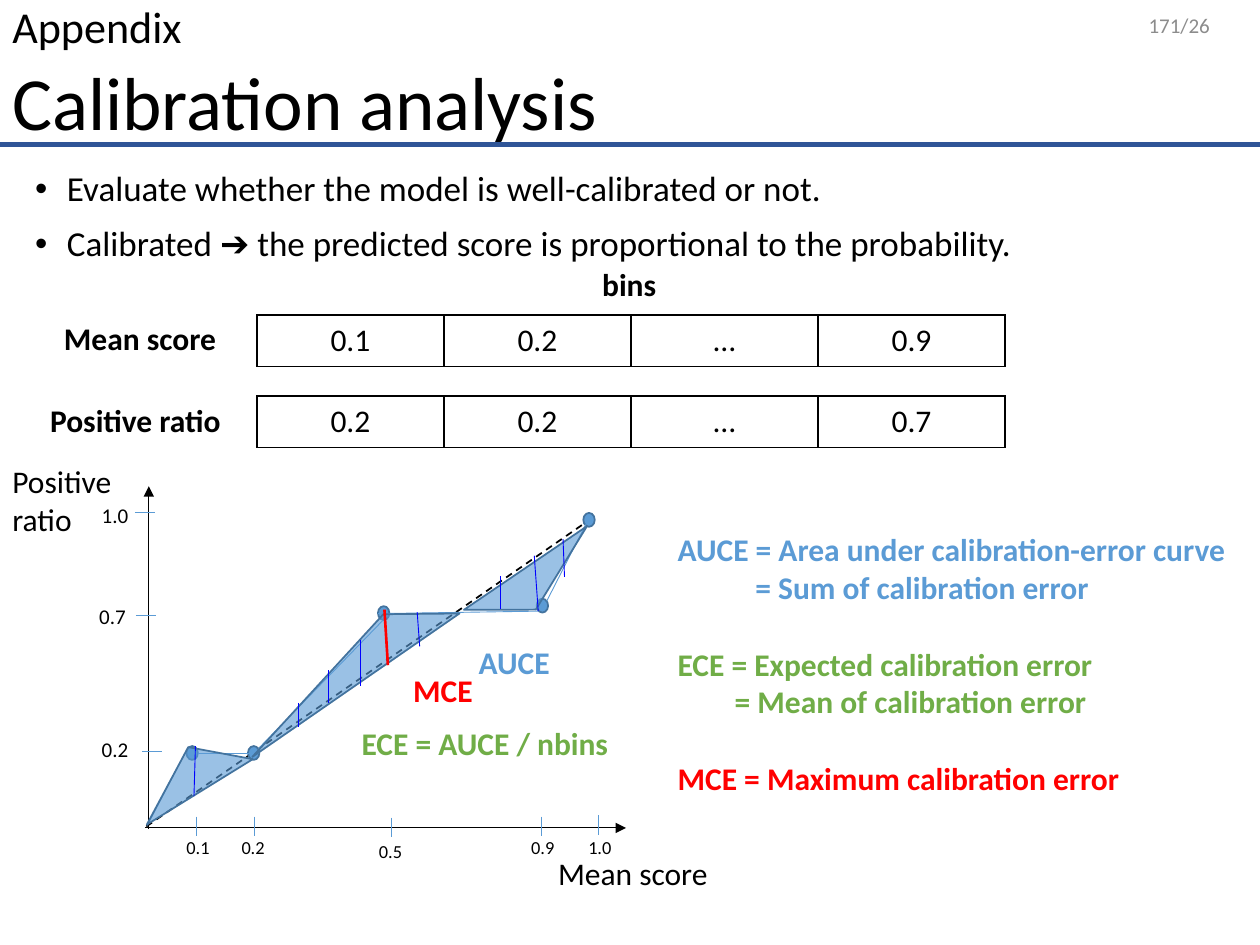
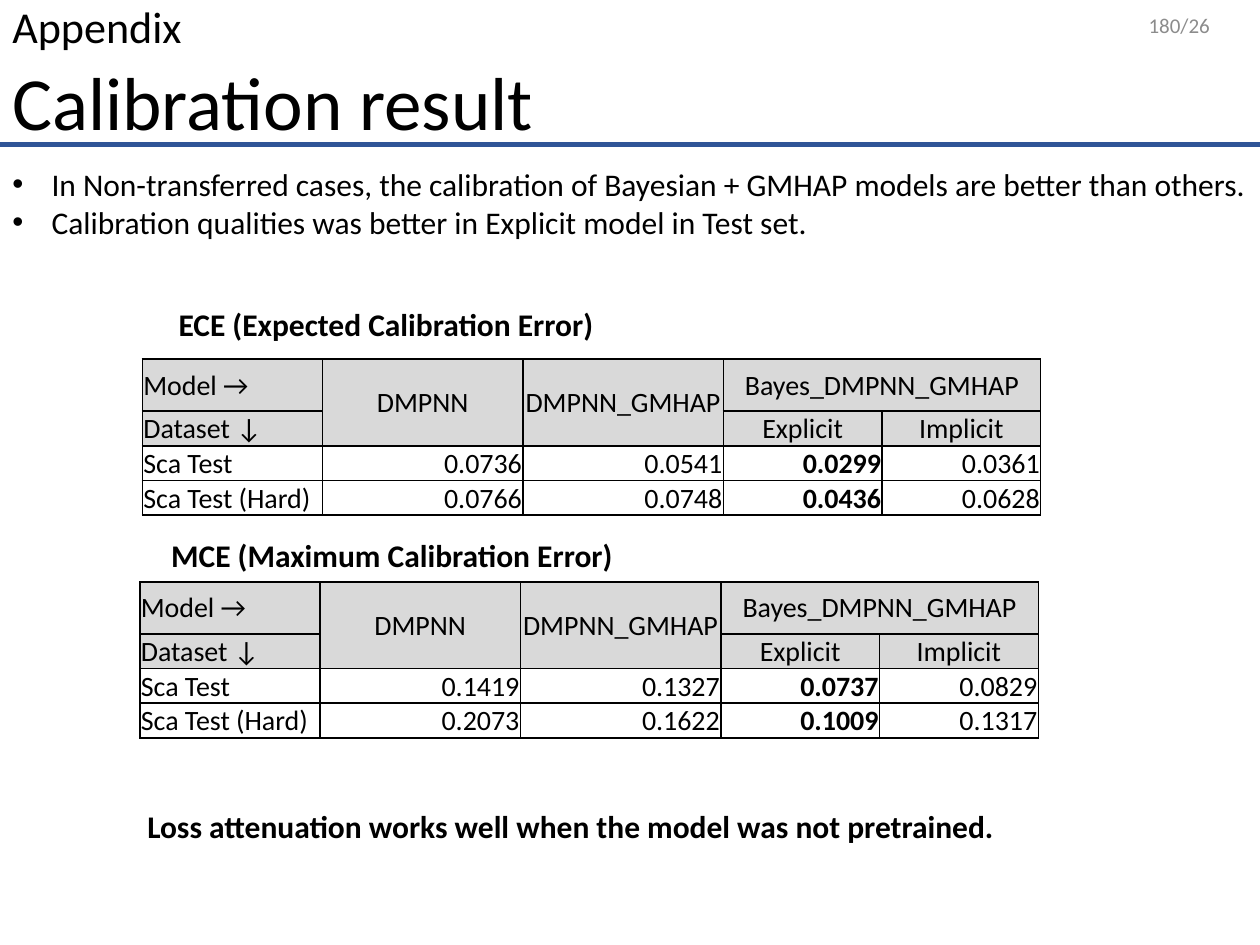
from dataclasses import dataclass
from typing import Optional, Sequence

from lxml import etree
from pptx import Presentation
from pptx import util as u
from pptx.dml import color as dml
from pptx.enum import dml as lines, shapes, text
from pptx.oxml import ns

FONT = "Calibri"
COLORS = {
    "black": "000000", "rule": "2F5597", "blue": "5B9BD5", "outline": "43739E",
    "green": "70AD47", "red": "FF0000", "bar": "0000FF", "grey": "8C8C8C",
    "header": "D9D9D9",
}
ALIGN = {"l": text.PP_ALIGN.LEFT, "c": text.PP_ALIGN.CENTER, "r": text.PP_ALIGN.RIGHT}


# Repeated elements; all lengths are in centimetres
@dataclass
class Para:
    text: str
    color: Optional[str] = None
    indent: float = 0
    before: float = 0


@dataclass
class Label:
    text: str
    left: float
    top: float
    width: float
    height: float = 1.02
    color: str = "black"
    bold: bool = True
    size: float = 18
    wrap: bool = False


@dataclass
class Segment:
    x1: float
    y1: float
    x2: float
    y2: float


@dataclass
class Tick:
    label: str
    x: float
    y: float
    label_left: float
    label_top: float


@dataclass
class Triangle:
    left: float
    top: float
    width: float
    height: float
    rotation: float
    apex: float


@dataclass
class ErrorTable:
    title: Label
    left: float
    top: float
    rows: Sequence[Sequence[str]]


def rgb(name: str) -> dml.RGBColor:
    return dml.RGBColor.from_string(COLORS[name])


def sub(parent, tag: str, **attrs):
    return etree.SubElement(parent, ns.qn(tag), **attrs)


# Text
def set_text(tf, content, *, size=18.0, color="black", bold=False, align="l",
             bullet=0.0, spacing=None) -> None:
    paras = [Para(content)] if isinstance(content, str) else content
    for i, para in enumerate(paras):
        p = tf.add_paragraph() if i else tf.paragraphs[0]
        p.alignment = ALIGN[align]
        pPr = p._p.get_or_add_pPr()
        if bullet:
            pPr.set("marL", str(u.Cm(bullet)))
            pPr.set("indent", str(-u.Cm(bullet)))
            sub(pPr, "a:buFont", typeface="Arial")
            sub(pPr, "a:buChar", char="•")
        elif para.indent:
            pPr.set("marL", str(u.Cm(para.indent)))
        if spacing:
            p.line_spacing = spacing
        if para.before:
            p.space_before = u.Pt(para.before)
        r = p.add_run()
        r.text = para.text
        r.font.name, r.font.size, r.font.bold = FONT, u.Pt(size), bold
        r.font.color.rgb = rgb(para.color or color)


def add_text(s, content, left: float, top: float, width: float, height: float, *,
             wrap=True, middle=False, **fmt) -> None:
    tf = s.shapes.add_textbox(u.Cm(left), u.Cm(top), u.Cm(width), u.Cm(height)).text_frame
    tf.word_wrap = wrap
    if middle:
        tf.vertical_anchor = text.MSO_ANCHOR.MIDDLE
    set_text(tf, content, **fmt)


def add_label(s, lb: Label) -> None:
    add_text(s, lb.text, lb.left, lb.top, lb.width, lb.height, wrap=lb.wrap,
             size=lb.size, color=lb.color, bold=lb.bold)


# Lines and shapes
def add_line(s, seg: Segment, color: str, width=0.5, arrow=False, dashed=False) -> None:
    cx = s.shapes.add_connector(shapes.MSO_CONNECTOR.STRAIGHT, u.Cm(seg.x1), u.Cm(seg.y1),
                                u.Cm(seg.x2), u.Cm(seg.y2))
    cx.line.color.rgb = rgb(color)
    cx.line.width = u.Pt(width)
    if dashed:
        cx.line.dash_style = lines.MSO_LINE.DASH
    if arrow:
        sub(cx.line._get_or_add_ln(), "a:tailEnd", type="triangle")
    sub(cx._element.spPr, "a:effectLst")


def add_blue_shape(s, kind, left: float, top: float, width: float, height: float):
    sp = s.shapes.add_shape(kind, u.Cm(left), u.Cm(top), u.Cm(width), u.Cm(height))
    sp.shadow.inherit = False
    sp.fill.solid()
    sp.fill.fore_color.rgb = rgb("blue")
    sp.line.color.rgb = rgb("outline")
    sp.line.width = u.Pt(1)
    return sp


def add_area(s, tri: Triangle) -> None:
    sp = add_blue_shape(s, shapes.MSO_SHAPE.ISOSCELES_TRIANGLE,
                        tri.left, tri.top, tri.width, tri.height)
    sp.adjustments[0] = tri.apex
    sp.rotation = tri.rotation
    sub(sp._element.spPr.find(".//" + ns.qn("a:srgbClr")), "a:alpha", val="61000")


# Tables
def add_grid(s, left: float, top: float, widths: Sequence[float], heights: Sequence[float]):
    table = s.shapes.add_table(len(heights), len(widths), u.Cm(left), u.Cm(top),
                               u.Cm(sum(widths)), u.Cm(sum(heights))).table
    table.first_row = table.horz_banding = False
    for column, width in zip(table.columns, widths):
        column.width = u.Cm(width)
    for row, height in zip(table.rows, heights):
        row.height = u.Cm(height)
    for cell in table.iter_cells():
        tcPr = cell._tc.get_or_add_tcPr()
        for side in ("a:lnL", "a:lnR", "a:lnT", "a:lnB"):
            fill = sub(sub(tcPr, side, w=str(u.Pt(1))), "a:solidFill")
            sub(fill, "a:srgbClr", val=COLORS["black"])
        cell.fill.background()
    return table


def add_error_table(s, spec_table: ErrorTable) -> None:
    add_label(s, spec_table.title)
    table = add_grid(s, spec_table.left, spec_table.top,
                     [3.63, 4.04, 4.04, 3.2, 3.2], [1.05, 0.69, 0.69, 0.69])
    for first, last in (((0, 1), (1, 1)), ((0, 2), (1, 2)), ((0, 3), (0, 4))):
        table.cell(*first).merge(table.cell(*last))
    for i, row in enumerate([*HEADER, *spec_table.rows]):
        for j, value in enumerate(row):
            cell = table.cell(i, j)
            header = i < len(HEADER)
            cell.margin_left = cell.margin_right = cell.margin_top = u.Cm(0.02)
            cell.margin_bottom = 0
            cell.vertical_anchor = text.MSO_ANCHOR.MIDDLE
            if header:
                cell.fill.solid()
                cell.fill.fore_color.rgb = rgb("header")
            if value:
                align = "l" if j == 0 else "c" if header else "r"
                set_text(cell.text_frame, value, size=16, align=align,
                         bold=j == BEST_COLUMN and not header)


# Shared slide frame
def new_slide(prs, title: str, number: str):
    s = prs.slides.add_slide(prs.slide_layouts[6])
    add_text(s, "Appendix", 0, 0, 10.19, 1.17, middle=True, size=25.2, spacing=0.9)
    add_text(s, title, 0, 1.17, 20.96, 1.93, middle=True, size=42.9, spacing=0.9)
    add_line(s, Segment(0, 2.92, 25.4, 2.92), "rule", 3)
    add_text(s, number, 18.92, 0, 5.72, 1.02, middle=True, size=12, color="grey", align="r")
    return s


# Content of the analysis slide
BIN_ROWS = [
    (Label("Mean score", 1.04, 6.3, 3.61), 6.35, ["0.1", "0.2", "…", "0.9"]),
    (Label("Positive ratio", 0.76, 7.95, 3.99), 7.98, ["0.2", "0.2", "…", "0.7"]),
]
X_TICKS = [
    Tick("0.1", 3.96, 16.46, 3.51, 16.74), Tick("0.2", 5.13, 16.46, 4.62, 16.74),
    Tick("0.5", 7.9, 16.48, 7.39, 16.81), Tick("0.9", 10.92, 16.46, 10.46, 16.74),
    Tick("1.0", 12.06, 16.43, 11.61, 16.74),
]
Y_TICKS = [
    Tick("0.2", 2.87, 15.14, 1.8, 14.73), Tick("0.7", 2.74, 12.4, 1.75, 12.04),
    Tick("1.0", 2.72, 10.34, 1.8, 10.01),
]
TICK = 0.4
POINTS = [(3.76, 15.04), (5, 15.04), (7.62, 12.22), (10.82, 12.07), (11.76, 10.34)]
CURVE = [
    Segment(3.99, 15.19, 5.23, 15.19), Segment(3.78, 15.09, 2.97, 16.64),
    Segment(5.21, 15.09, 7.85, 12.37), Segment(7.62, 12.37, 10.85, 12.32),
    Segment(11.02, 12.12, 11.81, 10.57),
]
AREAS = [
    Triangle(2.54, 15.14, 2.51, 0.89, 328.3, 0.61),
    Triangle(4.39, 13.03, 5.08, 0.86, 325.3, 0.75),
    Triangle(9.32, 11.38, 3, 0.81, 145.8, 0.6),
]
ERROR_BARS = [
    Segment(3.94, 15.04, 3.91, 16.05), Segment(6.02, 14.17, 6.02, 14.66),
    Segment(6.63, 13.51, 6.63, 14.17), Segment(7.26, 12.9, 7.26, 13.82),
    Segment(8.41, 12.34, 8.46, 13.03), Segment(10.08, 11.61, 10.08, 12.27),
    Segment(10.77, 11.2, 10.85, 12.32), Segment(11.35, 10.87, 11.38, 11.63),
]
MAX_ERROR = Segment(7.75, 12.29, 7.82, 13.41)
CHART_LABELS = [
    Label("bins", 11.89, 5.21, 1.6),
    Label("Mean score", 11, 17.09, 3.56, bold=False),
    Label("AUCE", 9.4, 12.83, 1.96, color="blue"),
    Label("MCE", 8.08, 13.41, 1.73, color="red"),
    Label("ECE = AUCE / nbins", 7.04, 14.48, 12.7, color="green", wrap=True),
]
DEFINITIONS = [
    Para("AUCE = Area under calibration-error curve", "blue"),
    Para("= Sum of calibration error", "blue", indent=1.57),
    Para("ECE = Expected calibration error", "green", before=22),
    Para("= Mean of calibration error", "green", indent=1.15),
    Para("MCE = Maximum calibration error", "red", before=22),
]

# Content of the result slide
HEADER = [
    ["Model →", "DMPNN", "DMPNN_GMHAP", "Bayes_DMPNN_GMHAP", ""],
    ["Dataset ↓", "", "", "Explicit", "Implicit"],
]
BEST_COLUMN = 3
ERROR_TABLES = [
    ErrorTable(Label("ECE (Expected Calibration Error)", 3.35, 6.02, 8.89, wrap=True), 2.87, 7.24,
               [["Sca Test", "0.0736", "0.0541", "0.0299", "0.0361"],
                ["Sca Test (Hard)", "0.0766", "0.0748", "0.0436", "0.0628"]]),
    ErrorTable(Label("MCE (Maximum Calibration Error)", 3.2, 10.69, 9.8, wrap=True), 2.82, 11.73,
               [["Sca Test", "0.1419", "0.1327", "0.0737", "0.0829"],
                ["Sca Test (Hard)", "0.2073", "0.1622", "0.1009", "0.1317"]]),
]


def build_analysis(prs) -> None:
    s = new_slide(prs, "Calibration analysis", "171/26")
    add_text(s, [Para("Evaluate whether the model is well-calibrated or not."),
                 Para("Calibrated ➔ the predicted score is proportional to the probability.",
                      before=10)],
             0.46, 3.33, 24.16, 2.2, size=20, bullet=0.64, spacing=0.9)
    for label, top, values in BIN_ROWS:
        add_label(s, label)
        table = add_grid(s, 5.18, top, [3.77] * len(values), [1.04])
        for cell, value in zip(table.iter_cells(), values):
            set_text(cell.text_frame, value, align="c")

    # Axes, diagonal and ticks
    add_line(s, Segment(2.92, 16.69, 12.62, 16.69), "black", arrow=True)
    add_line(s, Segment(3, 16.71, 3, 9.8), "black", arrow=True)
    add_line(s, Segment(2.95, 16.66, 11.94, 10.44), "black", 1, dashed=True)
    for ticks, dx, dy, size in ((X_TICKS, 0, TICK, 10.5), (Y_TICKS, TICK, 0, 12)):
        for t in ticks:
            add_line(s, Segment(t.x, t.y, t.x + dx, t.y + dy), "blue")
            add_label(s, Label(t.label, t.label_left, t.label_top, 1.04, 0.74,
                               bold=False, size=size))

    # Calibration curve and its error
    for left, top in POINTS:
        add_blue_shape(s, shapes.MSO_SHAPE.OVAL, left, top, 0.23, 0.28)
    for seg in CURVE:
        add_line(s, seg, "blue")
    for area in AREAS:
        add_area(s, area)
    for bar in ERROR_BARS:
        add_line(s, bar, "bar")
    add_line(s, MAX_ERROR, "red", 1.5)
    for label in CHART_LABELS:
        add_label(s, label)
    add_text(s, [Para("Positive"), Para("ratio")], 0, 9.19, 2.54, 1.8)
    add_text(s, DEFINITIONS, 13.41, 10.57, 11.66, 6.4, wrap=False, bold=True)


def build_result(prs) -> None:
    s = new_slide(prs, "Calibration result", "180/26")
    add_text(s, [Para("In Non-transferred cases, the calibration of Bayesian + GMHAP models "
                      "are better than others."),
                 Para("Calibration qualities was better in Explicit model in Test set.")],
             0, 3.2, 25.68, 1.8, wrap=False, bullet=0.79)
    for error_table in ERROR_TABLES:
        add_error_table(s, error_table)
    add_label(s, Label("Loss attenuation works well when the model was not pretrained.",
                       2.72, 16.15, 23.01, wrap=True))


def main() -> None:
    prs = Presentation()
    prs.slide_width, prs.slide_height = u.Cm(25.4), u.Cm(19.05)
    build_analysis(prs)
    build_result(prs)
    prs.save("out.pptx")


if __name__ == "__main__":
    main()
